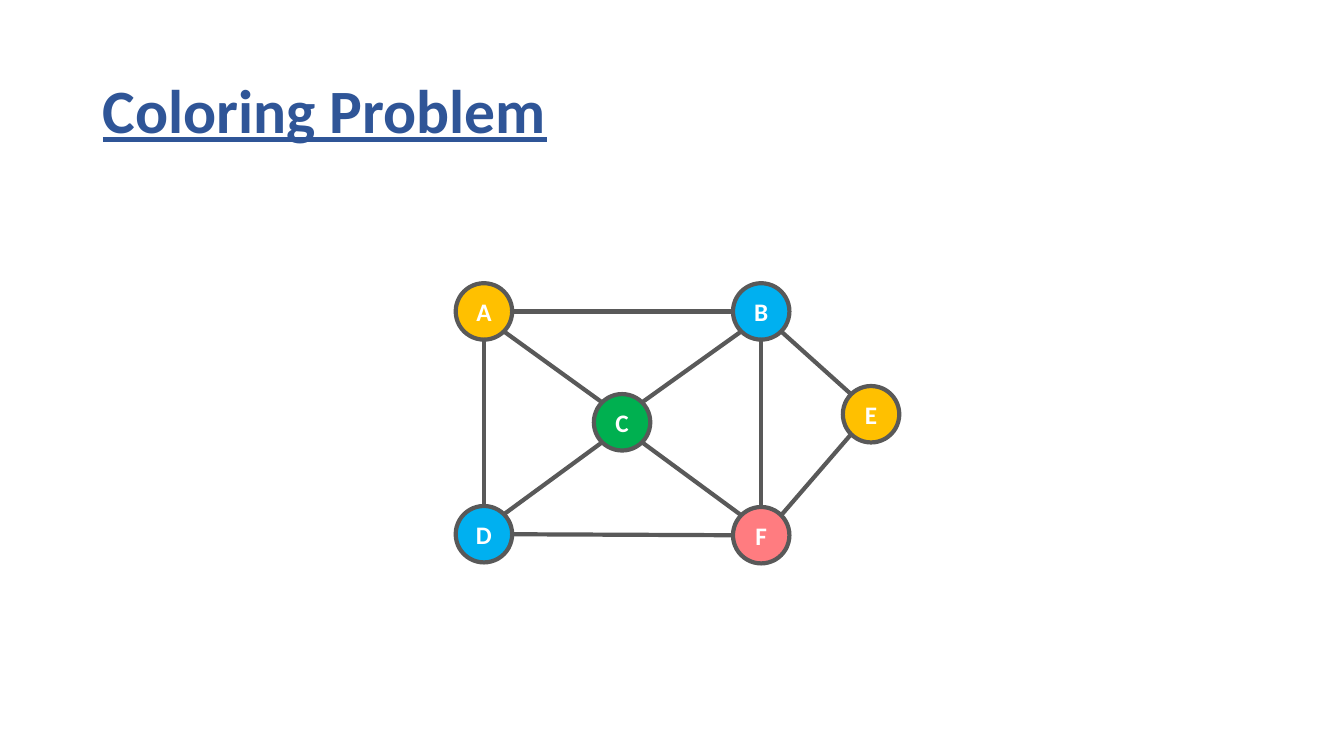
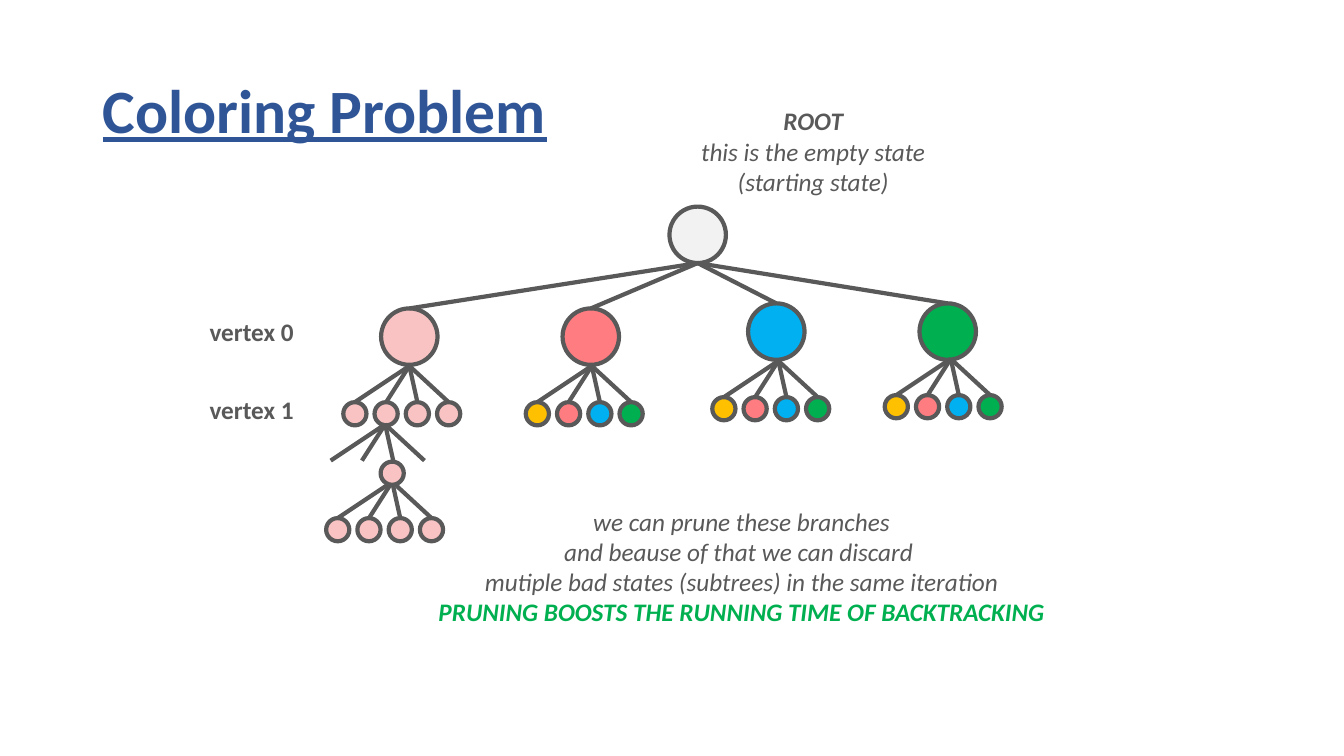
from dataclasses import dataclass
from math import atan2, cos, pi, sin

from lxml.etree import SubElement
from pptx import Presentation
from pptx.dml.color import RGBColor
from pptx.enum.shapes import MSO_CONNECTOR, MSO_SHAPE
from pptx.enum.text import MSO_ANCHOR, MSO_AUTO_SIZE, PP_ALIGN
from pptx.oxml.ns import qn
from pptx.shapes.autoshape import Shape
from pptx.shapes.connector import Connector
from pptx.slide import Slide
from pptx.text.text import TextFrame
from pptx.util import Inches, Pt

FONT = "Calibri"
TITLE_BLUE = "2F5597"
GRAY = "595959"
WHITE = "FFFFFF"
LIGHT_GRAY = "F2F2F2"
YELLOW = "FFC000"
RED = "FF7C80"
BLUE = "00B0F0"
GREEN = "00B050"
PINK = "F9C3C3"

STROKE = 3
NODE_SIZE = 0.56
LEAF_SIZE = 0.23
LEAF_PITCH = 0.31
LEAF_DROP = 0.36
FAN_LEFT = -0.54


@dataclass(frozen=True)
class Vertex:
    name: str
    x: float  # centre
    y: float
    color: str


@dataclass(frozen=True)
class Branch:
    x: float  # centre
    top: float
    hub_x: float
    hub_y: float
    color: str
    leaf_colors: tuple[str, ...]


@dataclass(frozen=True)
class Line:
    text: str
    bold: bool = False
    italic: bool = True
    color: str = GRAY


PALETTE = (YELLOW, RED, BLUE, GREEN)
PRUNED = (PINK,) * 4

VERTICES = {
    vertex.name: vertex
    for vertex in (
        Vertex("A", 4.8, 3.09, YELLOW),
        Vertex("B", 7.55, 3.09, BLUE),
        Vertex("C", 6.17, 4.19, GREEN),
        Vertex("D", 4.8, 5.3, BLUE),
        Vertex("E", 8.64, 4.11, YELLOW),
        Vertex("F", 7.55, 5.31, RED),
    )
}
EDGES = ("AB", "AD", "DF", "BF", "BC", "AC", "CF", "CD", "BE", "EF")

BRANCHES = (
    Branch(4.06, 3.06, 4.06, 3.63, PINK, PRUNED),
    Branch(5.86, 3.06, 5.87, 3.63, RED, PALETTE),
    Branch(7.7, 3.01, 7.72, 3.58, BLUE, PALETTE),
    Branch(9.4, 3.01, 9.43, 3.56, GREEN, PALETTE),
)

ROOT_NOTE = (
    Line("ROOT", bold=True),
    Line("this is the empty state"),
    Line("(starting state)"),
)
PRUNING_NOTE = (
    Line("we can prune these branches"),
    Line("and beause of that we can discard "),
    Line("mutiple bad states (subtrees) in the same iteration"),
    Line("PRUNING BOOSTS THE RUNNING TIME OF BACKTRACKING", bold=True, color=GREEN),
)


def rgb(color: str) -> RGBColor:
    return RGBColor.from_string(color)


def write_lines(frame: TextFrame, lines: tuple[Line, ...], alignment: PP_ALIGN) -> None:
    for index, line in enumerate(lines):
        paragraph = frame.add_paragraph() if index else frame.paragraphs[0]
        paragraph.alignment = alignment
        run = paragraph.add_run()
        run.text = line.text
        font = run.font
        font.name, font.size = FONT, Pt(18)
        font.bold, font.italic = line.bold, line.italic
        font.color.rgb = rgb(line.color)


def add_titled_slide(presentation: Presentation, text: str) -> Slide:
    slide = presentation.slides.add_slide(presentation.slide_layouts[5])
    title = slide.shapes.title
    title.left, title.top = Inches(0.92), Inches(0.4)
    title.width, title.height = Inches(11.5), Inches(1.45)
    frame = title.text_frame
    frame.auto_size = MSO_AUTO_SIZE.NONE
    frame.vertical_anchor = MSO_ANCHOR.MIDDLE
    paragraph = frame.paragraphs[0]
    paragraph.alignment = PP_ALIGN.LEFT
    paragraph.line_spacing = 0.9
    run = paragraph.add_run()
    run.text = text
    font = run.font
    font.name, font.size = FONT, Pt(44)
    font.bold = font.underline = True
    font.color.rgb = rgb(TITLE_BLUE)
    return slide


def add_circle(slide: Slide, x: float, top: float, size: float, color: str) -> Shape:
    circle = slide.shapes.add_shape(
        MSO_SHAPE.OVAL, Inches(x - size / 2), Inches(top), Inches(size), Inches(size)
    )
    circle.shadow.inherit = False
    circle.fill.solid()
    circle.fill.fore_color.rgb = rgb(color)
    circle.line.color.rgb = rgb(GRAY)
    circle.line.width = Pt(STROKE)
    return circle


def add_line(slide: Slide, x1: float, y1: float, x2: float, y2: float) -> Connector:
    connector = slide.shapes.add_connector(
        MSO_CONNECTOR.STRAIGHT, Inches(x1), Inches(y1), Inches(x2), Inches(y2)
    )
    connector.line.color.rgb = rgb(GRAY)
    connector.line.width = Pt(STROKE)
    SubElement(connector._element.spPr, qn("a:effectLst"))
    return connector


def add_vertex(slide: Slide, vertex: Vertex) -> None:
    circle = add_circle(slide, vertex.x, vertex.y - NODE_SIZE / 2, NODE_SIZE, vertex.color)
    frame = circle.text_frame
    frame.vertical_anchor = MSO_ANCHOR.MIDDLE
    letter = Line(vertex.name, bold=True, italic=False, color=WHITE)
    write_lines(frame, (letter,), PP_ALIGN.CENTER)


def add_edge(slide: Slide, start: Vertex, end: Vertex) -> None:
    """Join two vertices at the nearest eighths of their circles."""
    eighth = pi / 4
    angle = round(atan2(end.y - start.y, end.x - start.x) / eighth) * eighth
    dx, dy = NODE_SIZE / 2 * cos(angle), NODE_SIZE / 2 * sin(angle)
    add_line(slide, start.x + dx, start.y + dy, end.x - dx, end.y - dy)


def add_fan(slide: Slide, x: float, y: float, colors: tuple[str | None, ...]) -> None:
    """Draw four lines down from a hub, each to a leaf where a color is given."""
    for index, color in enumerate(colors):
        leaf_x = x + FAN_LEFT + index * LEAF_PITCH
        leaf_top = y + LEAF_DROP
        connector = add_line(slide, x, y, leaf_x, leaf_top)
        if color:
            leaf = add_circle(slide, leaf_x, leaf_top, LEAF_SIZE, color)
            connector.end_connect(leaf, 0)


def add_level_label(slide: Slide, top: float, text: str) -> None:
    label = slide.shapes.add_shape(
        MSO_SHAPE.RECTANGLE, Inches(1.98), Inches(top), Inches(1.04), Inches(0.4)
    )
    label.shadow.inherit = False
    label.fill.background()
    label.line.color.rgb = rgb(WHITE)
    label.line.width = Pt(STROKE)
    frame = label.text_frame
    frame.word_wrap = False
    frame.auto_size = MSO_AUTO_SIZE.SHAPE_TO_FIT_TEXT
    frame.vertical_anchor = MSO_ANCHOR.TOP
    write_lines(frame, (Line(text, bold=True, italic=False),), PP_ALIGN.LEFT)


def add_note(
    slide: Slide, left: float, top: float, width: float, height: float, lines: tuple[Line, ...]
) -> None:
    box = slide.shapes.add_textbox(Inches(left), Inches(top), Inches(width), Inches(height))
    box.text_frame.word_wrap = False
    box.text_frame.auto_size = MSO_AUTO_SIZE.SHAPE_TO_FIT_TEXT
    write_lines(box.text_frame, lines, PP_ALIGN.CENTER)


def build_graph_slide(presentation: Presentation) -> None:
    slide = add_titled_slide(presentation, "Coloring Problem")
    for start, end in EDGES:
        add_edge(slide, VERTICES[start], VERTICES[end])
    for vertex in VERTICES.values():
        add_vertex(slide, vertex)


def build_tree_slide(presentation: Presentation) -> None:
    slide = add_titled_slide(presentation, "Coloring Problem")

    # Root and first two levels
    root_x, root_top = 6.92, 2.05
    add_circle(slide, root_x, root_top, NODE_SIZE, LIGHT_GRAY)
    for branch in BRANCHES:
        node = add_circle(slide, branch.x, branch.top, NODE_SIZE, branch.color)
        connector = add_line(slide, root_x, root_top + NODE_SIZE, branch.x, branch.top)
        connector.end_connect(node, 0)
        add_fan(slide, branch.hub_x, branch.hub_y, branch.leaf_colors)

    # Pruned subtree
    add_fan(slide, 3.82, 4.21, (None,) * 4)
    add_fan(slide, 3.89, 4.78, PRUNED)
    add_circle(slide, 3.89, 4.58, LEAF_SIZE, PINK)

    # Labels and notes
    add_level_label(slide, 3.09, "vertex 0")
    add_level_label(slide, 3.86, "vertex 1")
    add_note(slide, 6.79, 1, 2.55, 1.31, ROOT_NOTE)
    add_note(slide, 4.13, 4.97, 6.45, 1.62, PRUNING_NOTE)


def main() -> None:
    presentation = Presentation()
    presentation.slide_width, presentation.slide_height = Inches(13.33), Inches(7.5)
    build_graph_slide(presentation)
    build_tree_slide(presentation)
    presentation.save("out.pptx")


if __name__ == "__main__":
    main()
